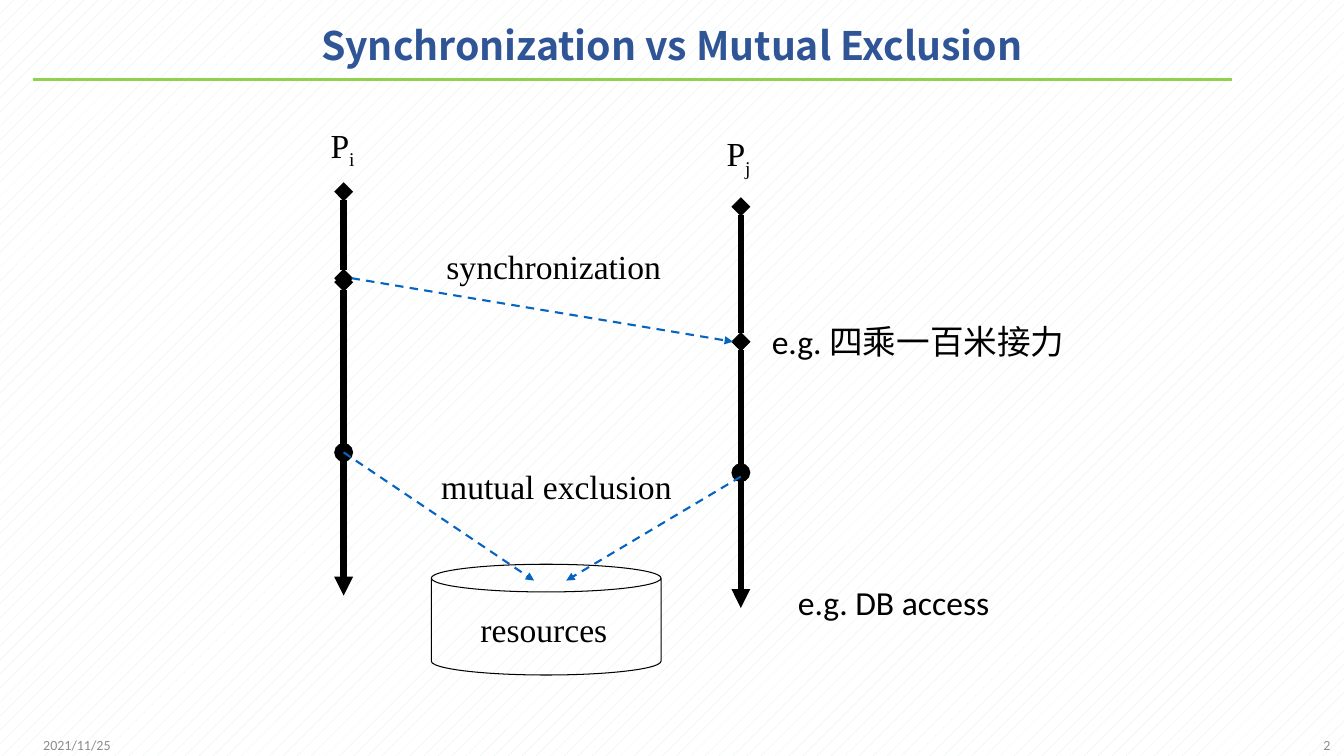
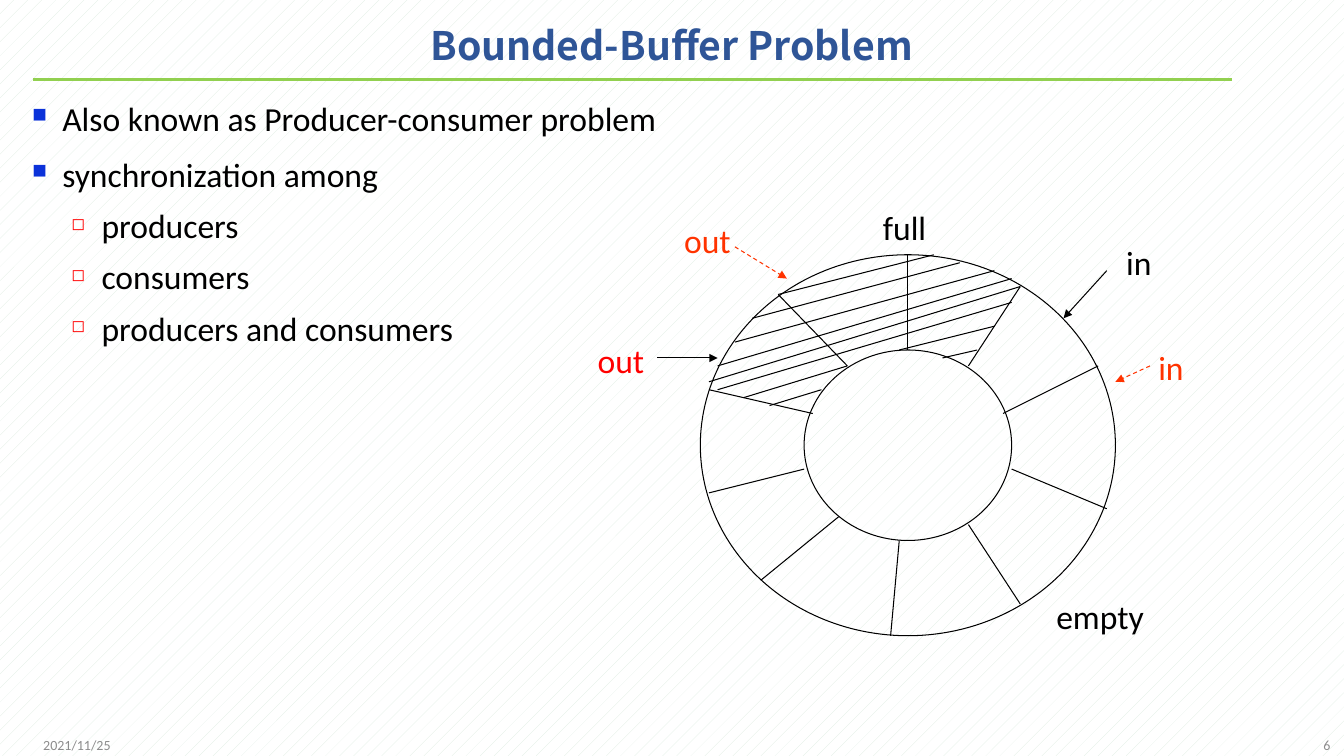
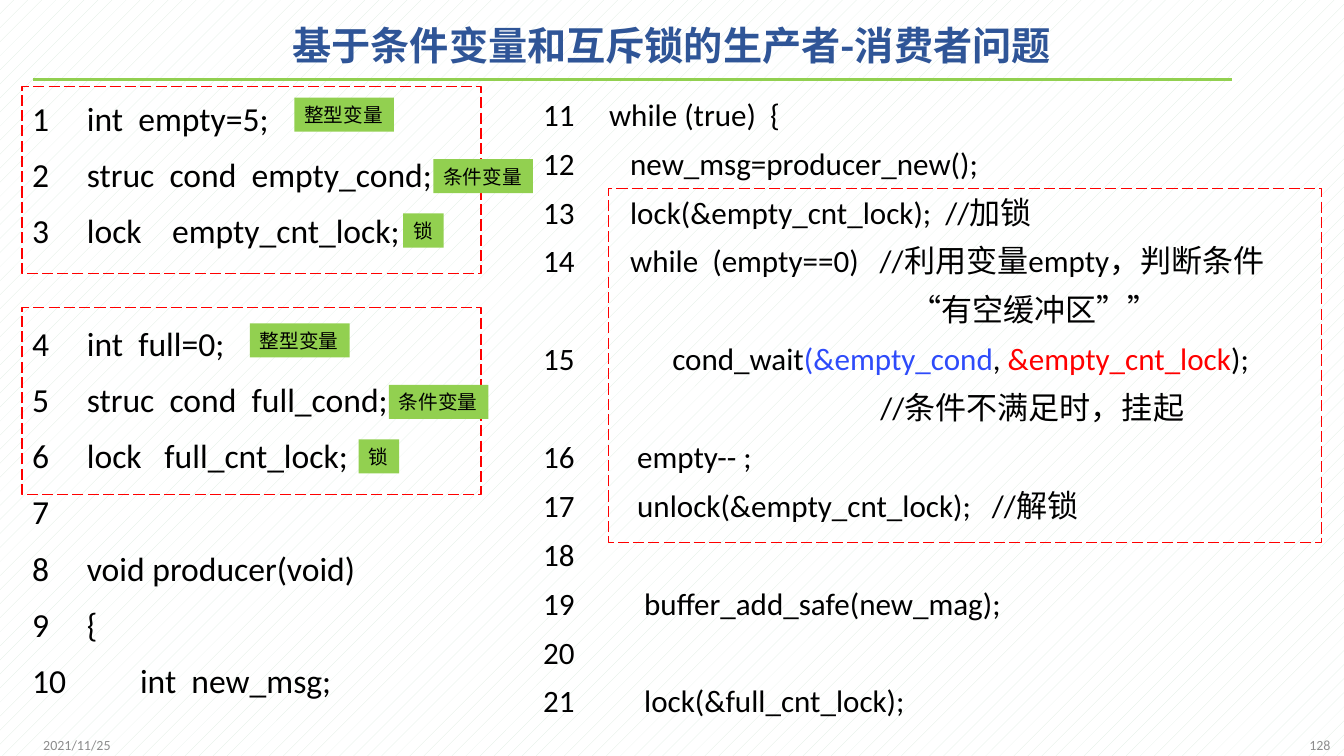
"""Build three slides on process synchronization and the bounded-buffer problem."""
from dataclasses import dataclass
from typing import NamedTuple

from lxml import etree
from pptx import Presentation
from pptx.dml.color import RGBColor
from pptx.enum.dml import MSO_LINE, MSO_PATTERN
from pptx.enum.shapes import MSO_CONNECTOR, MSO_SHAPE
from pptx.enum.text import MSO_ANCHOR, PP_ALIGN
from pptx.oxml.ns import qn
from pptx.slide import Slide
from pptx.util import Cm, Pt

DASH, LONG_DASH = MSO_LINE.DASH, MSO_LINE.LONG_DASH
TOP, MIDDLE = MSO_ANCHOR.TOP, MSO_ANCHOR.MIDDLE
LEFT, CENTER, RIGHT = PP_ALIGN.LEFT, PP_ALIGN.CENTER, PP_ALIGN.RIGHT
RECTANGLE, OVAL, CAN = MSO_SHAPE.RECTANGLE, MSO_SHAPE.OVAL, MSO_SHAPE.CAN
STRAIGHT = MSO_CONNECTOR.STRAIGHT
FAINT_DOTS = MSO_PATTERN.PERCENT_5


@dataclass(frozen=True)
class Theme:
    paper: RGBColor = RGBColor(0xFF, 0xFF, 0xFF)
    pattern: RGBColor = RGBColor(0xDC, 0xEC, 0xE0)
    ink: RGBColor = RGBColor(0, 0, 0)
    title: RGBColor = RGBColor(0x2F, 0x55, 0x97)
    green: RGBColor = RGBColor(0x92, 0xD0, 0x50)
    footer: RGBColor = RGBColor(0x8C, 0x8C, 0x8C)
    signal: RGBColor = RGBColor(0x05, 0x63, 0xC1)
    bullet: RGBColor = RGBColor(0x0B, 0x32, 0xD9)
    code_blue: RGBColor = RGBColor(0x2E, 0x4B, 0xFA)
    red: RGBColor = RGBColor(0xFF, 0, 0)
    orange: RGBColor = RGBColor(0xFF, 0x33, 0)
    sans: str = "Calibri"
    serif: str = "Times New Roman"
    cjk: str = "Noto Sans CJK SC"
    title_size: float = 28
    body_size: float = 24
    code_size: float = 22.2
    tag_size: float = 14
    footer_size: float = 10


THEME = Theme()


class Point(NamedTuple):
    x: float
    y: float


class Box(NamedTuple):
    left: float
    top: float
    width: float
    height: float

    def shifted(self, dx: float, dy: float) -> "Box":
        return Box(self.left + dx, self.top + dy, self.width, self.height)


@dataclass(frozen=True)
class Bullet:
    char: str
    color: RGBColor
    percent: int
    margin: float
    hang: float = 0.76


@dataclass(frozen=True)
class Span:
    text: str
    color: RGBColor = THEME.ink
    subscript: bool = False


@dataclass(frozen=True)
class Para:
    spans: tuple[Span, ...]
    align: PP_ALIGN = LEFT
    spacing: float = 1.0
    before: float = 0
    bullet: Bullet | None = None
    margin: float = 0
    tab: float = 0


@dataclass(frozen=True)
class TextStyle:
    font: str = THEME.sans
    size: float = THEME.body_size
    bold: bool = False
    anchor: MSO_ANCHOR = TOP
    wrap: bool = False


@dataclass(frozen=True)
class Stroke:
    color: RGBColor = THEME.ink
    width: float = 0.75
    dash: MSO_LINE | None = None
    head: str = ""
    tail: str = ""


@dataclass(frozen=True)
class Label:
    text: str
    box: Box
    color: RGBColor = THEME.ink
    font: str = THEME.sans


@dataclass(frozen=True)
class CodeLine:
    number: str
    spans: tuple[Span, ...] = ()
    margin: float = 0
    gap: float = 0


TITLE = TextStyle(THEME.cjk, THEME.title_size, bold=True, anchor=MIDDLE, wrap=True)
FOOTER = TextStyle(size=THEME.footer_size, anchor=MIDDLE, wrap=True)
BODY = TextStyle(wrap=True)
CODE = TextStyle(size=THEME.code_size, wrap=True)
TAG = TextStyle(THEME.cjk, THEME.tag_size, anchor=MIDDLE)
HAIRLINE = Stroke()
ARROW = Stroke(tail="triangle")
NEXT_ARROW = Stroke(THEME.orange, dash=DASH, tail="triangle")
SIGNAL = Stroke(THEME.signal, 1.5, DASH, tail="triangle")
FRAME = Stroke(THEME.red, 1, LONG_DASH)
MAIN_BULLET = Bullet("■", THEME.bullet, 60, 0.76)
SUB_BULLET = Bullet("◻", THEME.red, 50, 1.75)


def plain(text: str, color: RGBColor = THEME.ink) -> tuple[Span, ...]:
    return (Span(text, color),)


def add_element(parent, tag: str, **attributes: str):
    return etree.SubElement(parent, qn(tag), attributes)


def set_indents(paragraph, para: Para) -> None:
    props = paragraph._p.get_or_add_pPr()
    if para.margin:
        props.set("marL", str(Cm(para.margin)))
    if para.bullet:
        props.set("marL", str(Cm(para.bullet.margin)))
        props.set("indent", str(-Cm(para.bullet.hang)))
        add_element(add_element(props, "a:buClr"), "a:srgbClr", val=str(para.bullet.color))
        add_element(props, "a:buSzPct", val=str(para.bullet.percent * 1000))
        add_element(props, "a:buChar", char=para.bullet.char)
    if para.tab:
        add_element(add_element(props, "a:tabLst"), "a:tab", pos=str(Cm(para.tab)), algn="l")


def write_text(frame, paras: list[Para], style: TextStyle) -> None:
    frame.word_wrap = style.wrap
    frame.vertical_anchor = style.anchor
    for index, para in enumerate(paras):
        paragraph = frame.add_paragraph() if index else frame.paragraphs[0]
        set_indents(paragraph, para)
        paragraph.alignment = para.align
        paragraph.line_spacing = para.spacing
        if index:
            paragraph.space_before = Pt(para.before)
        for span in para.spans:
            run = paragraph.add_run()
            run.text = span.text
            run.font.name = style.font
            run.font.size = Pt(style.size)
            run.font.bold = style.bold
            run.font.color.rgb = span.color
            props = run._r.get_or_add_rPr()
            add_element(props, "a:ea", typeface=THEME.cjk)
            if span.subscript:
                props.set("baseline", "-25000")


def add_text(page: Slide, box: Box, paras: list[Para], style: TextStyle) -> None:
    shape = page.shapes.add_textbox(*map(Cm, box))
    write_text(shape.text_frame, paras, style)


def add_label(page: Slide, label: Label) -> None:
    add_text(page, label.box, [Para(plain(label.text, label.color))], TextStyle(label.font))


def set_stroke(line, stroke: Stroke) -> None:
    line.color.rgb = stroke.color
    line.width = Pt(stroke.width)
    if stroke.dash:
        line.dash_style = stroke.dash


def add_line(page: Slide, start: Point, end: Point, stroke: Stroke) -> None:
    connector = page.shapes.add_connector(STRAIGHT, *map(Cm, (*start, *end)))
    set_stroke(connector.line, stroke)
    outline = connector.line._get_or_add_ln()
    for tag, kind in (("a:headEnd", stroke.head), ("a:tailEnd", stroke.tail)):
        if kind:
            add_element(outline, tag, type=kind)
    add_element(connector._element.spPr, "a:effectLst")


def add_outline(page: Slide, kind: MSO_SHAPE, box: Box, stroke: Stroke) -> None:
    shape = page.shapes.add_shape(kind, *map(Cm, box))
    shape.shadow.inherit = False
    shape.fill.background()
    set_stroke(shape.line, stroke)


def add_tag(page: Slide, text: str, box: Box) -> None:
    shape = page.shapes.add_shape(RECTANGLE, *map(Cm, box))
    shape.shadow.inherit = False
    shape.fill.solid()
    shape.fill.fore_color.rgb = THEME.green
    shape.line.fill.background()
    write_text(shape.text_frame, [Para(plain(text))], TAG)


def add_page(deck, title: str, number: str) -> Slide:
    page = deck.slides.add_slide(deck.slide_layouts[6])
    add_line(page, Point(0.84, 2.01), Point(31.04, 2.01), Stroke(THEME.green, 2.25))
    heading = Para(plain(title, THEME.title), CENTER, 0.9)
    add_text(page, Box(0.86, 0.23, 32.13, 1.96), [heading], TITLE)
    for text, left, align in (("2021/11/25", 0.84, LEFT), (number, 26.16, RIGHT)):
        footer = Para(plain(text, THEME.footer), align)
        add_text(page, Box(left, 18.26, 7.62, 1.02), [footer], FOOTER)
    return page


def build_synchronization(deck) -> None:
    page = add_page(deck, "Synchronization vs Mutual Exclusion", "2")
    first_x, second_x = 8.66, 18.67
    timelines = (
        (first_x, ((4.83, 7.01), (7.11, 11.4), (11.23, 15.01))),
        (second_x, ((5.21, 8.61), (8.61, 11.91), (12.12, 15.32))),
    )
    ends = (("diamond", "diamond"), ("diamond", "oval"), ("", "triangle"))
    for x, stretches in timelines:
        for (top, bottom), (head, tail) in zip(stretches, ends):
            stroke = Stroke(width=4.5, head=head, tail=tail)
            add_line(page, Point(x, top), Point(x, bottom), stroke)
    add_outline(page, CAN, Box(10.87, 14.22, 5.79, 2.79), HAIRLINE)
    for start, end in (
        (Point(8.86, 7.01), Point(18.47, 8.61)),
        (Point(first_x, 11.4), Point(13.46, 14.63)),
        (Point(second_x, 12.01), Point(14.27, 14.63)),
    ):
        add_line(page, start, end, SIGNAL)
    for index, left, top in (("i", 8.08, 3.02), ("j", 18.06, 3.23)):
        name = Para((Span("P"), Span(index, subscript=True)))
        add_text(page, Box(left, top, 1.14, 1.27), [name], TextStyle(THEME.serif))
    for label in (
        Label("synchronization", Box(11, 6.07, 5.97, 1.27), font=THEME.serif),
        Label("resources", Box(11.86, 15.21, 3.73, 1.27), font=THEME.serif),
        Label("mutual exclusion", Box(10.87, 11.61, 6.38, 1.27), font=THEME.serif),
        Label("e.g. 四乘一百米接力", Box(19.2, 7.95, 8.15, 1.27)),
        Label("e.g. DB access", Box(19.86, 14.53, 5.38, 1.27)),
    ):
        add_label(page, label)


def build_bounded_buffer(deck) -> None:
    page = add_page(deck, "Bounded-Buffer Problem", "6")
    items = [
        Para(plain(text), spacing=1.2, before=5.6, bullet=MAIN_BULLET)
        for text in ("Also known as Producer-consumer problem", "synchronization among")
    ] + [
        Para(plain(text), spacing=1.1, before=5, bullet=SUB_BULLET)
        for text in ("producers", "consumers", "producers and consumers")
    ]
    add_text(page, Box(0.56, 2.13, 32.87, 16.15), items, BODY)

    center, radius, cells = Point(22.88, 11.22), Point(5.23, 4.8), 24

    def at(column: int, row: int) -> Point:
        return Point(center.x + column * radius.x / cells, center.y + row * radius.y / cells)

    for reach in (cells, cells // 2):
        corner, opposite = at(-reach, -reach), at(reach, reach)
        ring = Box(*corner, opposite.x - corner.x, opposite.y - corner.y)
        add_outline(page, OVAL, ring, HAIRLINE)
    spokes = (
        (0, -24, 0, -12), (-15, -19, -7, -10), (-23, -7, -11, -4), (-23, 6, -12, 3),
        (-8, 9, -17, 17), (-1, 12, -2, 24), (7, 10, 13, 20), (12, 3, 23, 8),
        (11, -4, 22, -10), (13, -20, 7, -10),
    )
    hatching = (
        (-15, -19, 3, -24), (-18, -16, 6, -23), (-20, -13, 10, -22), (-22, -10, 12, -21),
        (-23, -8, 13, -20), (-22, -7, 12, -18), (-19, -6, -7, -10), (-16, -5, -10, -7),
        (-1, -12, 10, -15), (4, -11, 8, -12),
    )
    pointers = ((-29, -11, -22, -11), (23, -22, 18, -16))
    next_pointers = ((-20, -25, -14, -21), (28, -10, 24, -8))
    for lines, stroke in (
        (spokes + hatching, HAIRLINE), (pointers, ARROW), (next_pointers, NEXT_ARROW),
    ):
        for x1, y1, x2, y2 in lines:
            add_line(page, at(x1, y1), at(x2, y2), stroke)
    for label in (
        Label("empty", Box(26.37, 14.88, 2.74, 1.3)),
        Label("full", Box(22, 5.08, 1.63, 1.3)),
        Label("out", Box(14.81, 8.43, 1.7, 1.3), THEME.red),
        Label("in", Box(28.13, 5.97, 1.16, 1.3)),
        Label("out", Box(16.99, 5.41, 1.7, 1.3), THEME.orange),
        Label("in", Box(28.94, 8.61, 1.16, 1.3), THEME.orange),
    ):
        add_label(page, label)


def add_code(
    page: Slide, box: Box, lines: list[CodeLine], style: TextStyle, spacing: float, column: float
) -> None:
    paras = []
    for line in lines:
        lead = plain(line.number + "\t" if line.spans else line.number) if line.number else ()
        paras.append(Para(lead + line.spans, spacing=spacing, before=5.6 + line.gap,
                          margin=line.margin, tab=column))
    add_text(page, box, paras, style)


def build_condition_variables(deck) -> None:
    page = add_page(deck, "基于条件变量和互斥锁的生产者-消费者问题", "128")
    declarations = [
        CodeLine("1", plain("int  empty=5;")),
        CodeLine("2", plain("struc  cond  empty_cond;")),
        CodeLine("3", plain("lock    empty_cnt_lock;")),
        CodeLine("4", plain("int  full=0;"), gap=40.2),
        CodeLine("5", plain("struc  cond  full_cond;")),
        CodeLine("6", plain("lock   full_cnt_lock;")),
        CodeLine("7"),
        CodeLine("8", plain("void producer(void)")),
        CodeLine("9", plain("{")),
        CodeLine("10", plain("       int  new_msg;")),
    ]
    wait_call = (
        Span("         cond_wait"),
        Span("(&empty_cond", THEME.code_blue),
        Span(", "),
        Span("&empty_cnt_lock", THEME.red),
        Span(");"),
    )
    producer_loop = [
        CodeLine("11", plain("while (true)  {")),
        CodeLine("12", plain("   new_msg=producer_new();")),
        CodeLine("13", plain("   lock(&empty_cnt_lock);  //加锁")),
        CodeLine("14", plain("   while  (empty==0)   //利用变量empty，判断条件")),
        CodeLine("", plain("“有空缓冲区””"), margin=9.25),
        CodeLine("15", wait_call),
        CodeLine("", plain("//条件不满足时，挂起"), margin=8.5),
        CodeLine("16", plain("    empty-- ;")),
        CodeLine("17", plain("    unlock(&empty_cnt_lock);   //解锁")),
        CodeLine("18"),
        CodeLine("19", plain("     buffer_add_safe(new_mag);")),
        CodeLine("20"),
        CodeLine("21", plain("     lock(&full_cnt_lock);")),
    ]
    add_code(page, Box(0.56, 2.13, 11.71, 16.15), declarations, BODY, 1.2, 1.38)
    add_code(page, Box(13.44, 2.18, 20.37, 16.15), producer_loop, CODE, 1.1, 1.66)
    add_outline(page, RECTANGLE, Box(15.34, 4.75, 17.96, 8.92), FRAME)
    for drop in (0, 5.57):
        add_outline(page, RECTANGLE, Box(0.56, 2.18, 11.56, 4.72).shifted(0, drop), FRAME)
    tags = (
        ("整型变量", Box(7.42, 2.46, 2.51, 0.86)),
        ("条件变量", Box(10.92, 4.01, 2.51, 0.86)),
        ("锁", Box(10.16, 5.38, 1.02, 0.86)),
    )
    for dx, dy in ((0, 0), (-1.12, 5.69)):
        for text, box in tags:
            add_tag(page, text, box.shifted(dx, dy))


def main() -> None:
    deck = Presentation()
    deck.slide_width, deck.slide_height = Cm(33.87), Cm(19.05)
    backdrop = deck.slide_master.background.fill
    backdrop.patterned()
    backdrop.pattern = FAINT_DOTS
    backdrop.fore_color.rgb = THEME.pattern
    backdrop.back_color.rgb = THEME.paper
    build_synchronization(deck)
    build_bounded_buffer(deck)
    build_condition_variables(deck)
    deck.save("out.pptx")


if __name__ == "__main__":
    main()
